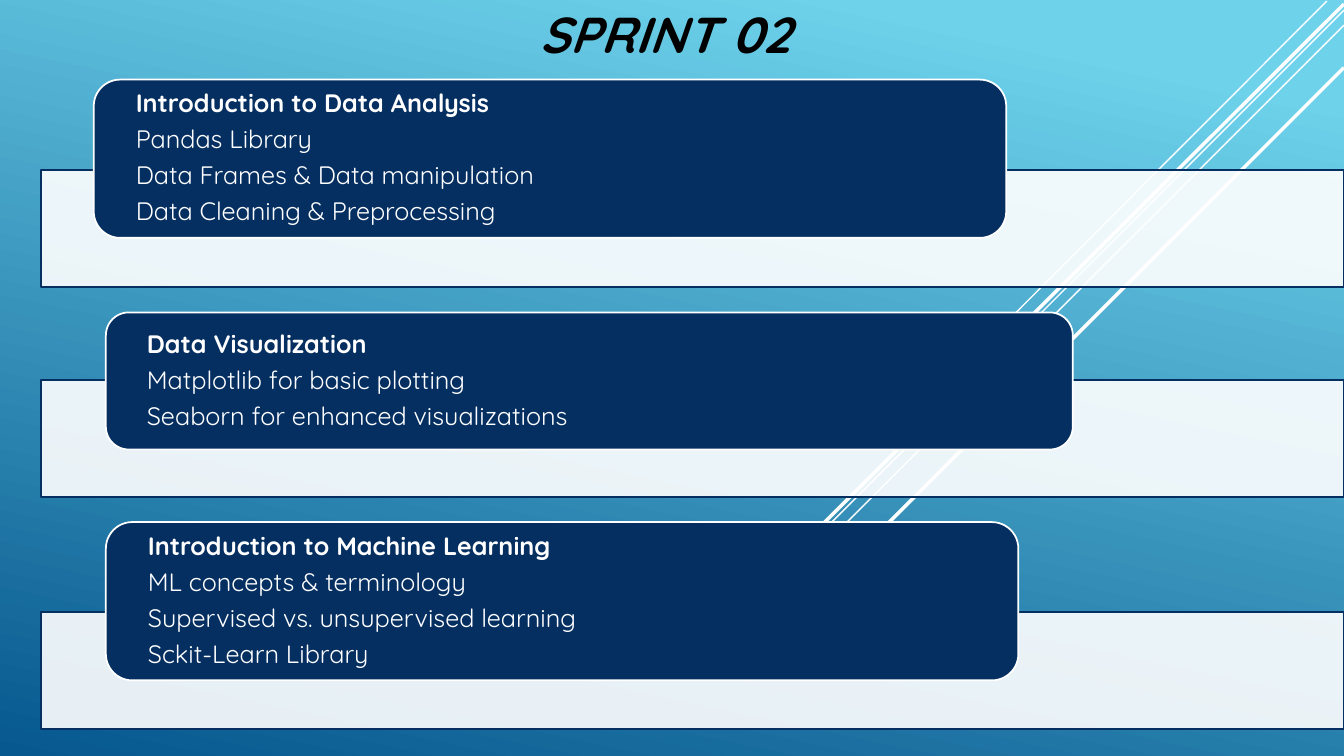
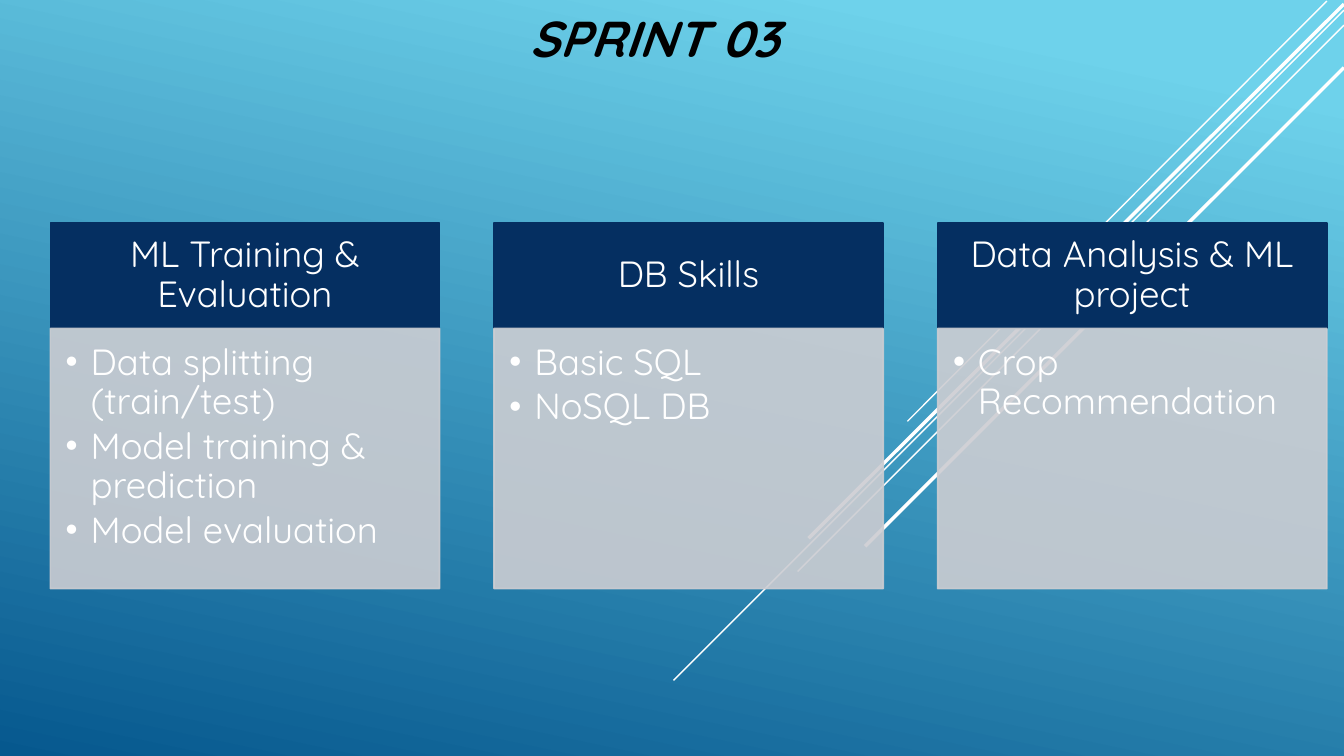
from pptx import Presentation
from pptx import util as u
from pptx.dml.color import RGBColor
from pptx.enum import shapes, text
from pptx.oxml.ns import qn
from lxml import etree

FONT = "Quicksand"
NAVY = RGBColor(0x05, 0x2F, 0x61)
WHITE = RGBColor(0xFF, 0xFF, 0xFF)
BLACK = RGBColor(0x00, 0x00, 0x00)
GREY = RGBColor(0xCC, 0xCD, 0xD2)
SKY = RGBColor(0x6E, 0xD2, 0xEB)
DEEP = RGBColor(0x06, 0x58, 0x8E)
RECT = shapes.MSO_SHAPE.RECTANGLE
ROUND = shapes.MSO_SHAPE.ROUNDED_RECTANGLE
LEFT, CENTER = text.PP_ALIGN.LEFT, text.PP_ALIGN.CENTER
TOP, MIDDLE, BOTTOM = text.MSO_ANCHOR.TOP, text.MSO_ANCHOR.MIDDLE, text.MSO_ANCHOR.BOTTOM


def add_box(s, kind, box, fill, line, clear=()):
    sp = s.shapes.add_shape(kind, *map(u.Inches, box))
    sp.shadow.inherit = False
    sp.fill.solid()
    sp.fill.fore_color.rgb = fill
    sp.line.color.rgb = line
    sp.line.width = u.Pt(1.25)
    for where in clear:
        color = sp.element.spPr.find(where + qn("a:solidFill"))[0]
        etree.SubElement(color, qn("a:alpha"), val="90000")
    return sp


def write(sp, lines, size, color, align, anchor, insets, after):
    tf = sp.text_frame
    tf.word_wrap = True
    tf.vertical_anchor = anchor
    tf.margin_left, tf.margin_top, tf.margin_right, tf.margin_bottom = map(u.Inches, insets)
    tf.text = "\n".join(lines)
    for p in tf.paragraphs:
        p.alignment = align
        p.line_spacing = 0.9
        p.space_after = u.Pt(after)
        for r in p.runs:
            r.font.name = FONT
            r.font.size = u.Pt(size)
            r.font.color.rgb = color
    return tf


prs = Presentation()
prs.slide_width, prs.slide_height = u.Inches(13.33), u.Inches(7.5)

bg = prs.slide_master.background.fill
bg.gradient()
bg.gradient_angle = 258
for stop, color, position in zip(bg.gradient_stops, (SKY, DEEP), (0.1, 1)):
    stop.color.rgb = color
    stop.position = position

rays = [
    (13.16, 0.01, 9, 4.18, 1),
    (13.33, 0.1, 6.68, 6.75, 1),
    (13.33, 0.25, 7.91, 5.67, 1),
    (13.33, 0.04, 8.02, 5.34, 2.5),
    (13.33, 0.67, 8.58, 5.42, 2.5),
]
slides = []
for title, width, height in [("SPRINT 02", 11.68, 0.68), ("SPRINT 03", 11.47, 0.72)]:
    s = prs.slides.add_slide(prs.slide_layouts[6])
    slides.append(s)
    for *ends, weight in rays:
        ray = s.shapes.add_connector(shapes.MSO_CONNECTOR.STRAIGHT, *map(u.Inches, ends))
        ray.line.color.rgb = WHITE
        ray.line.width = u.Pt(weight)
        etree.SubElement(ray.element.spPr, qn("a:effectLst"))
    sp = s.shapes.add_textbox(*map(u.Inches, (0.75, 0, width, height)))
    tf = write(sp, [title], 36, BLACK, CENTER, BOTTOM, (0.1, 0.05, 0.1, 0.04), 0)
    font = tf.paragraphs[0].runs[0].font
    font.bold = font.italic = True

topics = [
    (1.69, (0.93, 0.79, 9.05, 1.57),
     ["Introduction to Data Analysis", "Pandas Library",
      "Data Frames & Data manipulation", "Data Cleaning & Preprocessing"]),
    (3.77, (1.05, 3.1, 9.59, 1.36),
     ["Data Visualization", "Matplotlib for basic plotting",
      "Seaborn for enhanced visualizations"]),
    (6.07, (1.05, 5.18, 9.05, 1.57),
     ["Introduction to Machine Learning", "ML concepts & terminology",
      "Supervised vs. unsupervised learning", "Sckit-Learn Library"]),
]
for bar_top, card, lines in topics:
    add_box(slides[0], RECT, (0.41, bar_top, 12.92, 1.16), WHITE, NAVY, [""])
    sp = add_box(slides[0], ROUND, card, NAVY, WHITE)
    tf = write(sp, lines, 18, WHITE, LEFT, MIDDLE, (0.34, 0, 0.34, 0), 6.3)
    tf.paragraphs[0].runs[0].font.bold = True

columns = [
    ("ML Training & Evaluation",
     ["Data splitting (train/test)", "Model training & prediction", "Model evaluation"]),
    ("DB Skills", ["Basic SQL", "NoSQL DB"]),
    ("Data Analysis & ML project", ["Crop Recommendation"]),
]
for i, (heading, items) in enumerate(columns):
    left = 0.5 + 4.4 * i
    sp = add_box(slides[1], RECT, (left, 2.21, 3.86, 1.05), NAVY, NAVY)
    write(sp, [heading], 26, WHITE, CENTER, MIDDLE, (0.2, 0.12, 0.2, 0.12), 8)
    sp = add_box(slides[1], RECT, (left, 3.26, 3.86, 2.58), GREY, GREY,
                 ["", qn("a:ln") + "/"])
    tf = write(sp, items, 26, WHITE, LEFT, TOP, (0.15, 0.15, 0.2, 0.23), 3.9)
    for p in tf.paragraphs:
        pPr = p._p.get_or_add_pPr()
        pPr.set("marL", str(u.Inches(0.25)))
        pPr.set("indent", str(-u.Inches(0.25)))
        etree.SubElement(pPr, qn("a:buFont"), typeface=FONT)
        etree.SubElement(pPr, qn("a:buChar"), char="•")

prs.save("out.pptx")
